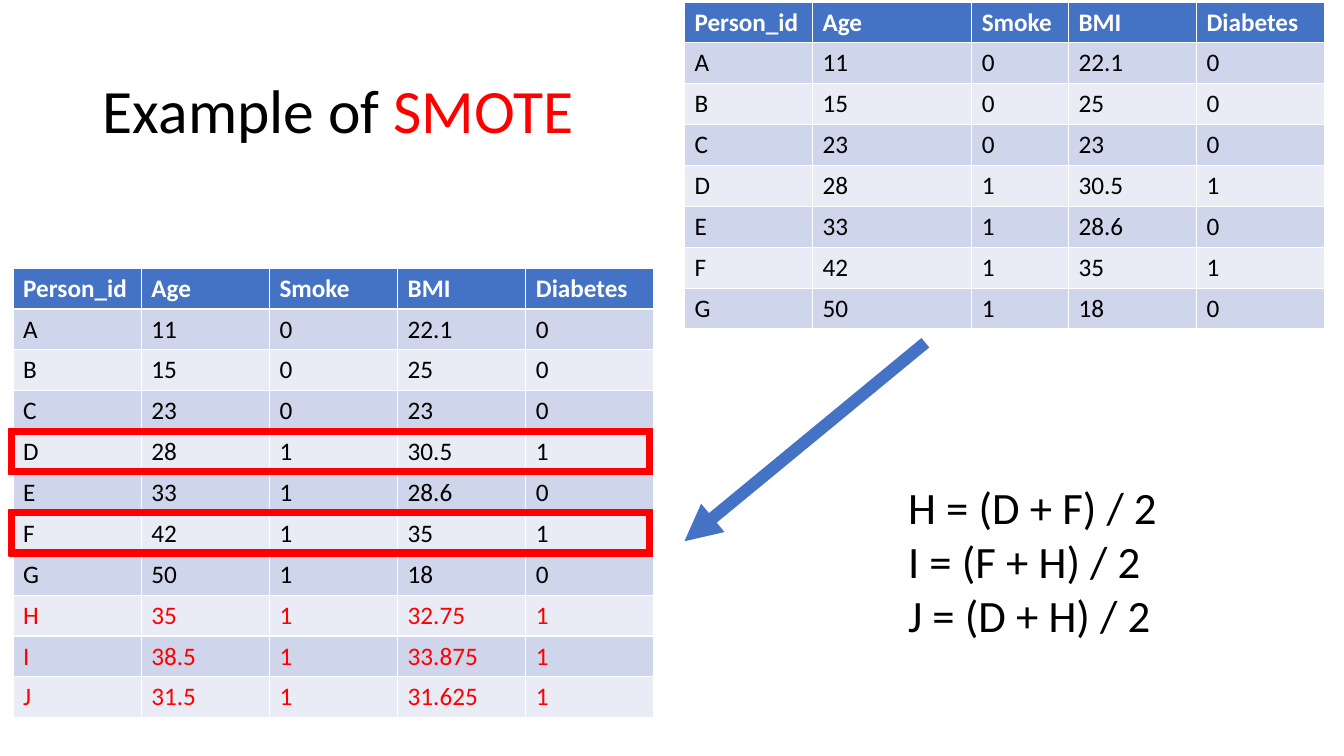
from lxml import etree
from pptx import Presentation
from pptx.dml.color import RGBColor
from pptx.enum.shapes import MSO_CONNECTOR, MSO_SHAPE
from pptx.enum.text import MSO_ANCHOR, MSO_AUTO_SIZE, PP_ALIGN
from pptx.oxml.ns import qn
from pptx.util import Inches, Pt

LINE, FRAME = MSO_CONNECTOR.STRAIGHT, MSO_SHAPE.FRAME
MID, LEFT = MSO_ANCHOR.MIDDLE, PP_ALIGN.LEFT
FIXED, GROW = MSO_AUTO_SIZE.NONE, MSO_AUTO_SIZE.SHAPE_TO_FIT_TEXT
FONT = "Calibri"
BLUE, RED, BLACK, WHITE = "4472C4", "FF0000", "000000", "FFFFFF"
BANDS = ["E9EBF5", "CFD5EA"]
ROW = 3.24 / 8
HEAD = ["Person_id", "Age", "Smoke", "BMI", "Diabetes"]
REAL = [
    ["A", "11", "0", "22.1", "0"],
    ["B", "15", "0", "25", "0"],
    ["C", "23", "0", "23", "0"],
    ["D", "28", "1", "30.5", "1"],
    ["E", "33", "1", "28.6", "0"],
    ["F", "42", "1", "35", "1"],
    ["G", "50", "1", "18", "0"],
]
MADE = [
    ["H", "35", "1", "32.75", "1"],
    ["I", "38.5", "1", "33.875", "1"],
    ["J", "31.5", "1", "31.625", "1"],
]
RULES = ["H = (D + F) / 2", "I = (F + H) / 2", "J = (D + H) / 2"]


def paint(part, color):
    """Give a fill or a line fill one solid colour."""
    part.solid()
    part.fore_color.rgb = RGBColor.from_string(color)


def add_run(para, text, size, color, bold=False):
    """Add one formatted run to a paragraph."""
    run = para.add_run()
    run.text = text
    run.font.name, run.font.size, run.font.bold = FONT, Pt(size), bold
    paint(run.font.fill, color)


def add_title(slide, box):
    """Place the title with its last word in red."""
    title = slide.shapes.title
    title.left, title.top, title.width, title.height = map(Inches, box)
    frame = title.text_frame
    frame.vertical_anchor, frame.auto_size = MID, FIXED
    para = frame.paragraphs[0]
    para.alignment, para.line_spacing = LEFT, 0.9
    add_run(para, "Example of ", 44, BLACK)
    add_run(para, "SMOTE", 44, RED)


def add_data(slide, left, top, widths, rows):
    """Draw a banded table of people, with made-up people in red."""
    grid = [HEAD] + rows
    table = slide.shapes.add_table(
        len(grid), len(HEAD), Inches(left), Inches(top),
        Inches(sum(widths)), Inches(ROW * len(grid))).table
    for col, width in zip(table.columns, widths):
        col.width = Inches(width)
    for r, row in enumerate(grid):
        table.rows[r].height = Inches(ROW)
        ink = WHITE if r == 0 else RED if row in MADE else BLACK
        for c, text in enumerate(row):
            cell = table.cell(r, c)
            paint(cell.fill, BANDS[r % 2] if r else BLUE)
            add_run(cell.text_frame.paragraphs[0], text, 18, ink, r == 0)


def add_marks(slide, left, top, width, picks):
    """Frame the picked rows of the table that starts at left and top."""
    for pick in picks:
        mark = slide.shapes.add_shape(
            FRAME, Inches(left - 0.04), Inches(top + pick * ROW - 0.03),
            Inches(width + 0.02), Inches(ROW + 0.05))
        mark.shadow.inherit = False
        paint(mark.fill, RED)
        paint(mark.line.fill, RED)
        mark.line.width = Pt(1)


def add_rules(slide, box):
    """List the formulas of the new rows."""
    frame = slide.shapes.add_textbox(*map(Inches, box)).text_frame
    frame.word_wrap, frame.auto_size = True, GROW
    for i, rule in enumerate(RULES):
        para = frame.add_paragraph() if i else frame.paragraphs[0]
        add_run(para, rule, 32, BLACK)


def add_arrow(slide, ends):
    """Draw the thick arrow from one table to the other."""
    arrow = slide.shapes.add_connector(LINE, *map(Inches, ends))
    paint(arrow.line.fill, BLUE)
    arrow.line.width = Pt(8.75)
    props = arrow._element.spPr
    etree.SubElement(props.find(qn("a:ln")), qn("a:tailEnd"), type="triangle")
    etree.SubElement(props, qn("a:effectLst"))


def main():
    """Build and save the slide."""
    deck = Presentation()
    deck.slide_width, deck.slide_height = Inches(13.333), Inches(7.5)
    slide = deck.slides.add_slide(deck.slide_layouts[5])
    left, top, widths = 0.13, 2.66, [1.272] * 5
    add_title(slide, (0.92, 0.4, 11.5, 1.45))
    add_data(slide, 6.79, 0.02, [1.27, 1.58, 0.96, 1.27, 1.27], REAL)
    add_data(slide, left, top, widths, REAL + MADE)
    add_marks(slide, left, top, sum(widths), [4, 6])
    add_rules(slide, (8.91, 4.71, 4.71, 1.72))
    add_arrow(slide, (9.18, 3.4, 6.79, 5.37))
    deck.save("out.pptx")


if __name__ == "__main__":
    main()
